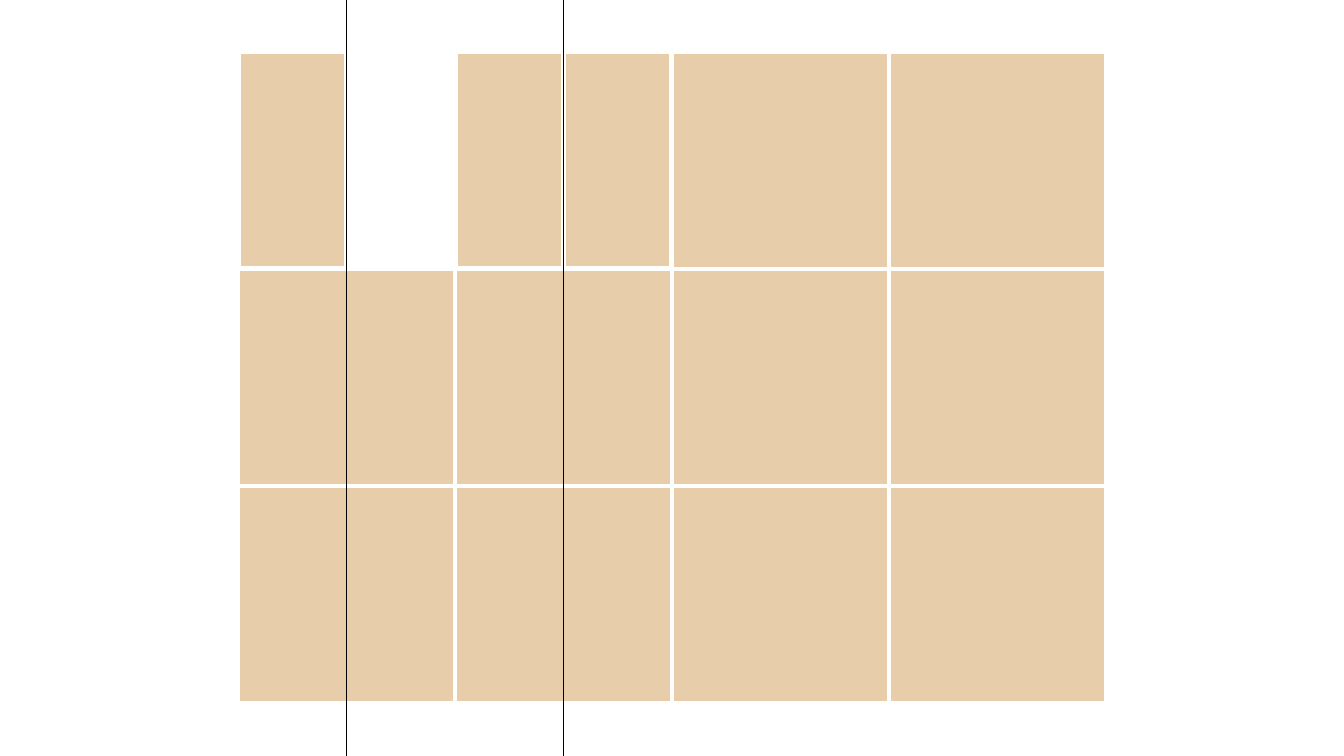
from dataclasses import dataclass
from itertools import product

from lxml.etree import SubElement
from pptx import Presentation
from pptx.dml.color import RGBColor
from pptx.enum.shapes import MSO_CONNECTOR, MSO_SHAPE
from pptx.oxml.ns import qn
from pptx.util import Emu, Pt

EMU_PER_PX = 914400 / 134.4
SLIDE_SIZE = (1344, 756)
GRID_LEFT, GRID_TOP = 238, 52
TILE, HALF = 217, 108
COLUMNS, ROWS = 4, 3


@dataclass(frozen=True)
class Theme:
    """Colours and line weights of the slide."""
    tile: RGBColor = RGBColor(0xDE, 0xB8, 0x87)
    tile_alpha: int = 70
    gap: RGBColor = RGBColor(0xFF, 0xFF, 0xFF)
    gap_width: float = 2.5
    guide: RGBColor = RGBColor(0, 0, 0)
    guide_width: float = 0.25


THEME = Theme()


def px(length):
    """Turn pixels into EMU."""
    return Emu(round(length * EMU_PER_PX))


def column_left(column):
    """Give the left edge of a grid column."""
    return GRID_LEFT + column * TILE


def add_tile(page, left, top, width=TILE):
    """Draw a translucent tile, turned a quarter to the left."""
    shift = (TILE - width) // 2
    tile = page.shapes.add_shape(
        MSO_SHAPE.RECTANGLE, px(left - shift), px(top + shift), px(TILE), px(width))
    tile.rotation = 270
    tile.shadow.inherit = False
    tile.fill.solid()
    tile.fill.fore_color.rgb = THEME.tile
    colour = tile.fill._xPr.find(f".//{qn('a:srgbClr')}")
    SubElement(colour, qn("a:alpha"), val=str(THEME.tile_alpha * 1000))
    tile.line.color.rgb = THEME.gap
    tile.line.width = Pt(THEME.gap_width)


def add_guide(page, x, top, bottom):
    """Draw a thin vertical guide line."""
    guide = page.shapes.add_connector(
        MSO_CONNECTOR.STRAIGHT, px(x), px(top), px(x), px(bottom))
    guide.line.color.rgb = THEME.guide
    guide.line.width = Pt(THEME.guide_width)
    SubElement(guide._element.spPr, qn("a:effectLst"))


def main():
    """Build the tile grid with its guides and save the deck."""
    deck = Presentation()
    deck.slide_width, deck.slide_height = map(px, SLIDE_SIZE)
    page = deck.slides.add_slide(deck.slide_layouts[6])

    for column, row in product(range(COLUMNS), range(ROWS)):
        if row > 0 or column > 1:
            add_tile(page, column_left(column), GRID_TOP + row * TILE)

    first, second = column_left(0), column_left(1)
    for left in (first, second, second + HALF):
        add_tile(page, left, GRID_TOP, HALF)

    add_guide(page, first + HALF, -207, 1009)
    add_guide(page, second + HALF, -24, 1536)
    deck.save("out.pptx")


if __name__ == "__main__":
    main()
